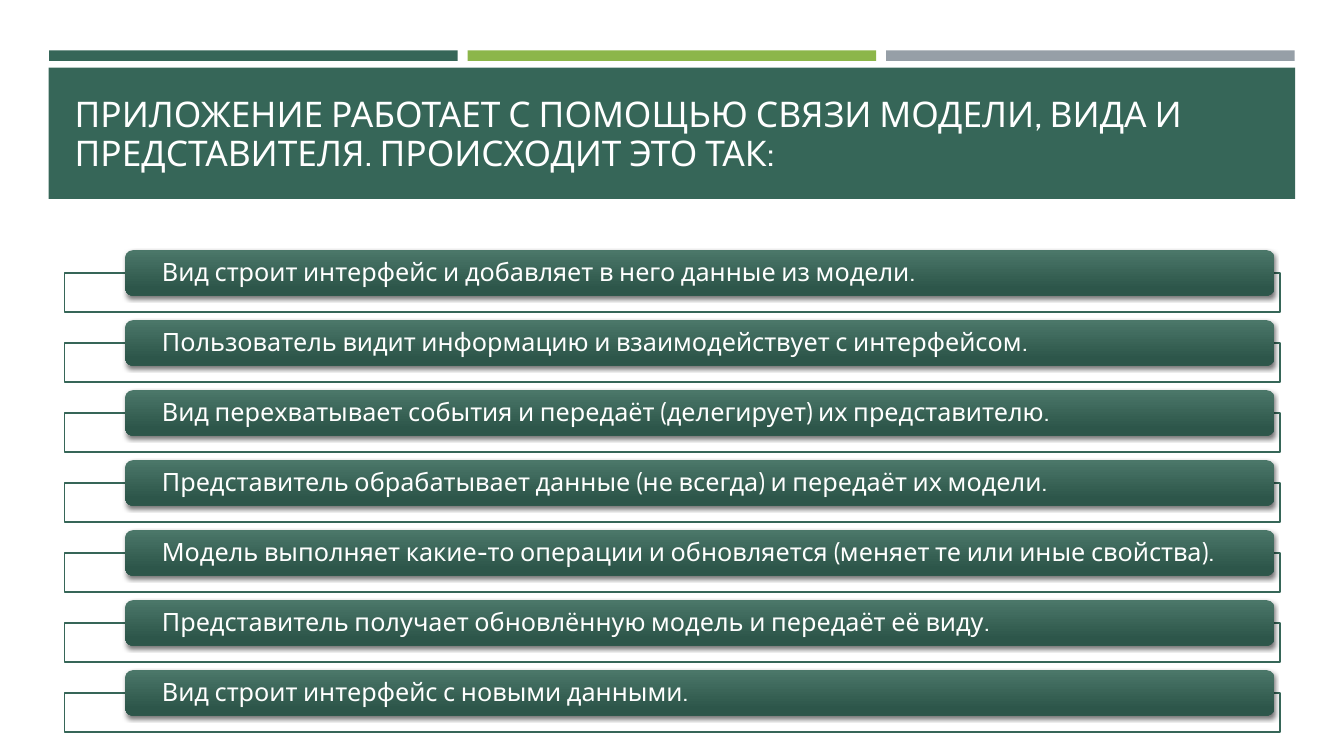
from lxml import etree
from pptx import Presentation
from pptx.dml.color import RGBColor
from pptx.enum.shapes import MSO_SHAPE
from pptx.enum.text import MSO_ANCHOR, PP_ALIGN
from pptx.oxml.ns import qn
from pptx.util import Pt

RECT, ROUNDED = MSO_SHAPE.RECTANGLE, MSO_SHAPE.ROUNDED_RECTANGLE
BOTTOM, MIDDLE = MSO_ANCHOR.BOTTOM, MSO_ANCHOR.MIDDLE
LEFT = PP_ALIGN.LEFT

GREEN = RGBColor(0x36, 0x66, 0x58)
LIME = RGBColor(0x8C, 0xB6, 0x4A)
GRAY = RGBColor(0x96, 0x9F, 0xA7)
WHITE = RGBColor(0xFF, 0xFF, 0xFF)
BAR_TOP = RGBColor(0x4B, 0x77, 0x69)
BAR_BOTTOM = RGBColor(0x2D, 0x56, 0x4A)
FONT = "Cabin"

TITLE = "ПРИЛОЖЕНИЕ РАБОТАЕТ С ПОМОЩЬЮ СВЯЗИ МОДЕЛИ, ВИДА И ПРЕДСТАВИТЕЛЯ. ПРОИСХОДИТ ЭТО ТАК:"
STEPS = [
    "Вид строит интерфейс и добавляет в него данные из модели.",
    "Пользователь видит информацию и взаимодействует с интерфейсом.",
    "Вид перехватывает события и передаёт (делегирует) их представителю.",
    "Представитель обрабатывает данные (не всегда) и передаёт их модели.",
    "Модель выполняет какие-то операции и обновляется (меняет те или иные свойства).",
    "Представитель получает обновлённую модель и передаёт её виду.",
    "Вид строит интерфейс с новыми данными.",
]
STEP_PITCH = 50


def add_block(s, kind, x, y, w, h, color):
    """Add a flat preset shape without outline or shadow."""
    sp = s.shapes.add_shape(kind, Pt(x), Pt(y), Pt(w), Pt(h))
    sp.fill.solid()
    sp.fill.fore_color.rgb = color
    sp.line.fill.background()
    sp.shadow.inherit = False
    return sp


def write_text(sp, text, size, anchor, side, bottom=0):
    """Write one white left-aligned paragraph into a shape."""
    tf = sp.text_frame
    tf.word_wrap = True
    tf.vertical_anchor = anchor
    tf.margin_left = tf.margin_right = Pt(side)
    tf.margin_top, tf.margin_bottom = 0, Pt(bottom)
    tf.text = text
    p = tf.paragraphs[0]
    p.alignment = LEFT
    p.line_spacing = 0.9
    font = p.runs[0].font
    font.name, font.size = FONT, Pt(size)
    font.color.rgb = WHITE


def add_frame(s, y):
    """Add the thin outlined box behind a step."""
    sp = add_block(s, RECT, 46.3, y, 868.2, 28, WHITE)
    color = sp.fill._xPr.find(qn("a:solidFill"))[0]
    etree.SubElement(color, qn("a:alpha"), val="90000")
    sp.line.color.rgb = GREEN
    sp.line.width = Pt(1)


def add_drop_shadow(sp):
    """Give a shape a soft black shadow below it."""
    effects = sp.element.spPr.find(qn("a:effectLst"))
    shadow = etree.SubElement(
        effects, qn("a:outerShdw"), blurRad=str(Pt(3)), dist=str(Pt(2)),
        dir="5400000", algn="ctr", rotWithShape="0")
    color = etree.SubElement(shadow, qn("a:srgbClr"), val="000000")
    etree.SubElement(color, qn("a:alpha"), val="55000")


def add_step(s, y, text):
    """Add one step: a frame and a gradient bar with its text."""
    add_frame(s, y + 16.3)
    sp = add_block(s, ROUNDED, 89.5, y, 820.8, 32.5, BAR_TOP)
    sp.fill.gradient()
    sp.fill.gradient_angle = 270
    start, end = sp.fill.gradient_stops
    start.color.rgb, start.position = BAR_TOP, 0
    end.color.rgb, end.position = BAR_BOTTOM, 0.84
    add_drop_shadow(sp)
    write_text(sp, text, 18, MIDDLE, 24.6)


def add_header(s):
    """Add the three accent strips and the title on its band."""
    for i, color in enumerate((GREEN, LIME, GRAY)):
        add_block(s, RECT, 35.2 + i * 298.9, 36, 291.8, 7.5, color)
    add_block(s, RECT, 34.8, 48.4, 890.4, 93.7, GREEN)
    sp = s.shapes.add_textbox(Pt(46.3), Pt(96.5), Pt(868.2), Pt(61.9))
    write_text(sp, TITLE, 25.2, BOTTOM, 7.2, 34.3)


def main():
    """Build and save the slide."""
    prs = Presentation()
    prs.slide_width, prs.slide_height = Pt(960), Pt(540)
    s = prs.slides.add_slide(prs.slide_layouts[6])
    add_header(s)
    for i, text in enumerate(STEPS):
        add_step(s, 178.7 + i * STEP_PITCH, text)
    prs.save("out.pptx")


if __name__ == "__main__":
    main()
